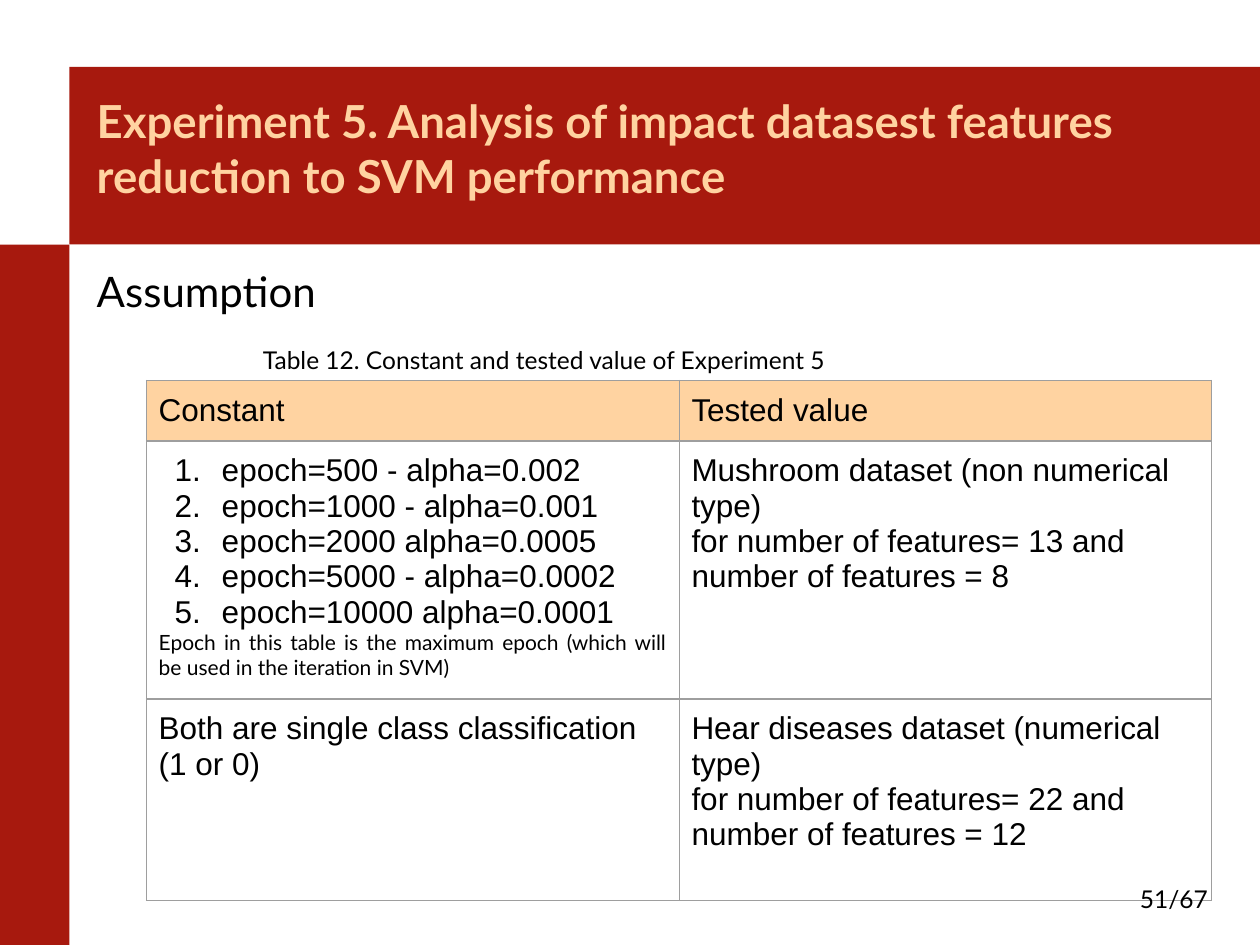
from lxml import etree
from pptx import Presentation
from pptx.dml.color import RGBColor
from pptx.enum.shapes import MSO_SHAPE
from pptx.enum.text import MSO_ANCHOR, MSO_AUTO_SIZE, PP_ALIGN
from pptx.oxml import parse_xml
from pptx.oxml.ns import qn
from pptx.util import Cm, Pt

RECT = MSO_SHAPE.RECTANGLE
TOP = MSO_ANCHOR.TOP
FIXED = MSO_AUTO_SIZE.NONE
LEFT, FULL = PP_ALIGN.LEFT, PP_ALIGN.JUSTIFY
NS = "http://schemas.openxmlformats.org/drawingml/2006/main"

HUES = {"red": "A7190E", "peach": "FFD3A1", "black": "000000", "grey": "9E9E9E"}

TITLE = "Experiment 5. Analysis of impact datasest features reduction to SVM performance"
LEAD = "Assumption"
NOTES = [
    ("Table 12. Constant and tested value of Experiment 5", (5.05, 6.71, 15.98, 1)),
    ("51/67", (22.73, 17.58, 2.16, 1.16)),
]
STEPS = [
    "epoch=500 - alpha=0.002",
    "epoch=1000 - alpha=0.001",
    "epoch=2000 alpha=0.0005",
    "epoch=5000 - alpha=0.0002",
    "epoch=10000 alpha=0.0001",
]
HINT = "Epoch in this table is the maximum epoch (which will be used in the iteration in SVM)"
LIST = {"number": True}
SMALL = {"size": 12, "font": "Lato", "align": FULL}
ROWS = [
    [[("Constant", {})], [("Tested value", {})]],
    [
        [(step, LIST) for step in STEPS] + [(HINT, SMALL)],
        [
            ("Mushroom dataset (non numerical type)", {}),
            ("for number of features= 13 and number of features = 8", {}),
        ],
    ],
    [
        [("Both are single class classification (1 or 0)", {})],
        [
            ("Hear diseases dataset (numerical type)", {}),
            ("for number of features= 22 and number of features = 12", {}),
        ],
    ],
]
HEIGHTS = [1.22, 5.2, 4.06]
WIDTH = 10.74
WIDE, TALL = 25.4, 19.05
EDGE, HEAD, BASE = 1.4, 1.35, 4.93
BANDS = [(EDGE, HEAD, WIDE - EDGE, BASE - HEAD), (0, BASE, EDGE, TALL - BASE)]


def color(name):
    return RGBColor.from_string(HUES[name])


def write(frame, text, size=18, font="Arial", hue="black", bold=False,
          align=LEFT, number=False, first=True):
    para = frame.paragraphs[0] if first else frame.add_paragraph()
    para.alignment = align
    para.space_before = Pt(0)
    run = para.add_run()
    run.text = text
    run.font.size = Pt(size)
    run.font.name = font
    run.font.bold = bold
    run.font.color.rgb = color(hue)
    props = para._p.get_or_add_pPr()
    props.set("marL", str(Cm(1.27) if number else 0))
    props.set("indent", str(-Cm(0.95) if number else 0))
    if number:
        etree.SubElement(props, qn("a:buAutoNum"), type="arabicPeriod")
    else:
        etree.SubElement(props, qn("a:buNone"))


def pad(item, gap=0.25):
    item.margin_left = item.margin_right = Cm(0.25)
    item.margin_top = item.margin_bottom = Cm(gap)


def place(shape, box):
    shape.left, shape.top, shape.width, shape.height = map(Cm, box)
    frame = shape.text_frame
    frame.word_wrap = True
    frame.auto_size = FIXED
    frame.vertical_anchor = TOP
    return frame


def rule(cell):
    props = cell._tc.get_or_add_tcPr()
    for spot, side in enumerate("LRTB"):
        props.insert(spot, parse_xml(
            f'<a:ln{side} xmlns:a="{NS}" w="{Pt(0.75)}"><a:solidFill>'
            f'<a:srgbClr val="{HUES["grey"]}"/></a:solidFill></a:ln{side}>'))


def main():
    deck = Presentation()
    deck.slide_width, deck.slide_height = Cm(WIDE), Cm(TALL)
    slide = deck.slides.add_slide(deck.slide_layouts[1])
    shapes = slide.shapes

    for spot, box in enumerate(BANDS, 2):
        band = shapes.add_shape(RECT, *map(Cm, box))
        band.fill.solid()
        band.fill.fore_color.rgb = color("red")
        band.line.fill.background()
        band.shadow.inherit = False
        shapes._spTree.insert(spot, band._element)

    frame = place(shapes.title, (1.7, 1.75, 23.4, 3.48))
    pad(frame, 0.13)
    write(frame, TITLE, size=26, font="Lato", hue="peach", bold=True)
    frame = place(slide.placeholders[1], (1.7, 5.23, 23.4, 13.5))
    pad(frame, 0.13)
    write(frame, LEAD, size=24, font="Lato", align=FULL)

    table = shapes.add_table(len(ROWS), 2, Cm(2.95), Cm(7.67),
                             Cm(2 * WIDTH), Cm(sum(HEIGHTS))).table
    table.first_row = table.horz_banding = False
    for column in table.columns:
        column.width = Cm(WIDTH)
    for r, row in enumerate(ROWS):
        table.rows[r].height = Cm(HEIGHTS[r])
        for c, lines in enumerate(row):
            cell = table.cell(r, c)
            pad(cell)
            if r == 0:
                cell.fill.solid()
                cell.fill.fore_color.rgb = color("peach")
            else:
                cell.fill.background()
            rule(cell)
            for i, (text, style) in enumerate(lines):
                write(cell.text_frame, text, first=i == 0, **style)

    for text, box in NOTES:
        frame = place(shapes.add_textbox(*map(Cm, box)), box)
        pad(frame)
        write(frame, text, size=14, font="Lato")

    deck.save("out.pptx")


if __name__ == "__main__":
    main()
